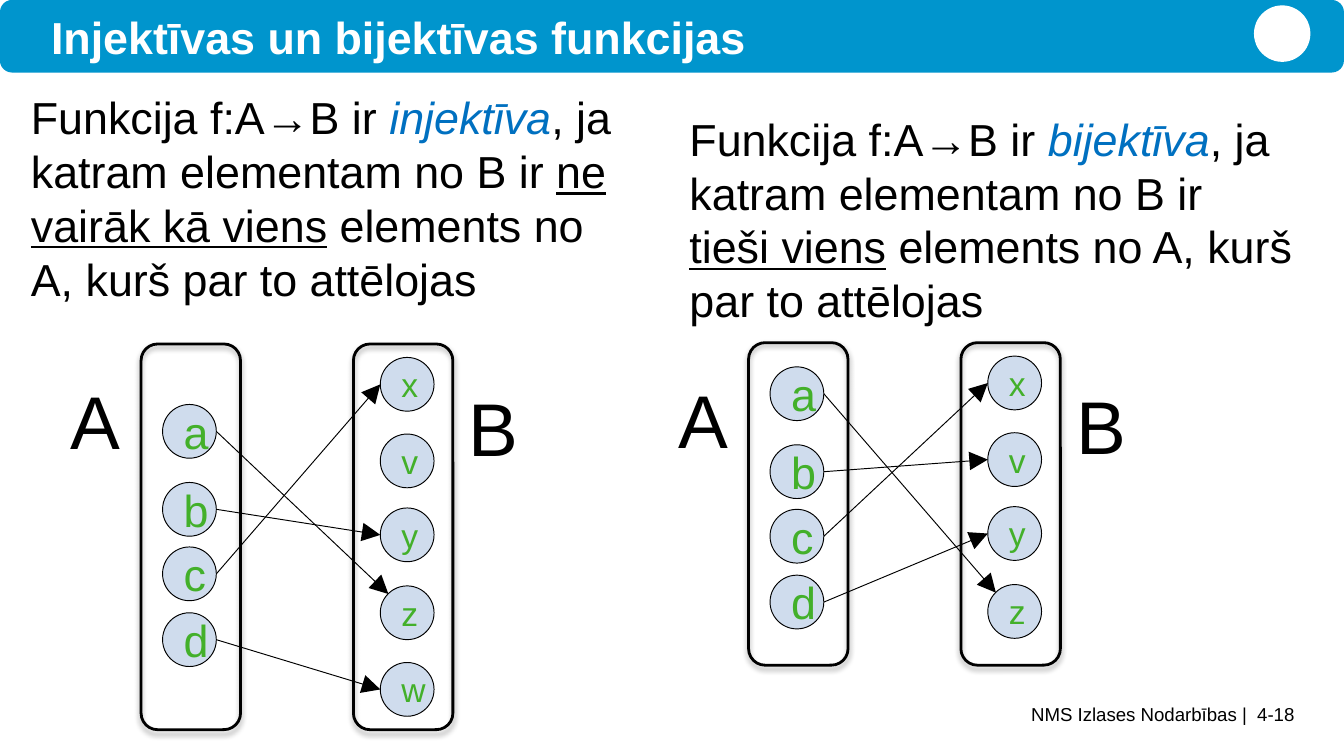
from lxml import etree
from pptx import Presentation
from pptx.dml.color import RGBColor
from pptx.enum.shapes import MSO_CONNECTOR, MSO_SHAPE
from pptx.enum.text import PP_ALIGN, MSO_ANCHOR
from pptx.oxml.ns import qn
from pptx.util import Inches, Pt

LINE = MSO_CONNECTOR.STRAIGHT
ROUND, NODE, OVAL = (MSO_SHAPE.ROUNDED_RECTANGLE,
                     MSO_SHAPE.FLOWCHART_CONNECTOR, MSO_SHAPE.OVAL)
MIDDLE = MSO_ANCHOR.MIDDLE
LEFT, CENTER, RIGHT = PP_ALIGN.LEFT, PP_ALIGN.CENTER, PP_ALIGN.RIGHT
COLORS = {"black": "000000", "white": "FFFFFF", "bar": "0095CD",
          "term": "0070C0", "node": "4F81BD", "label": "43B02A"}
SIZE = 0.4
STARTS = {"a": 0, "b": 0.58, "c": 1.06, "d": 1.55}
ENDS = {"x": 0.1, "v": 0.67, "y": 1.22, "z": 1.8, "w": 2.37}


class Deck:
    """Draws styled elements on the current slide."""

    def __init__(self, slide, font="Arial"):
        self.slide, self.font = slide, font

    def color(self, name):
        return RGBColor.from_string(COLORS[name])

    def run(self, para, text, size, color="black", bold=False,
            italic=False, under=False):
        run = para.add_run()
        run.text = text
        font = run.font
        font.name, font.size = self.font, Pt(size)
        font.bold, font.italic, font.underline = bold, italic, under
        font.color.rgb = self.color(color)

    def text(self, box, runs, size, inset=0, align=LEFT, before=0):
        frame = self.slide.shapes.add_textbox(*map(Inches, box)).text_frame
        frame.word_wrap = True
        frame.margin_left = frame.margin_right = Inches(inset)
        frame.margin_top = frame.margin_bottom = Inches(inset / 2)
        para = frame.paragraphs[0]
        para.alignment, para.space_before = align, Pt(before)
        for text, style in runs:
            self.run(para, text, size, **style)

    def shape(self, kind, box, fill=None, line=0):
        shape = self.slide.shapes.add_shape(kind, *map(Inches, box))
        shape.shadow.inherit = False
        if fill:
            shape.fill.solid()
            shape.fill.fore_color.rgb = self.color(fill)
        else:
            shape.fill.background()
        if line:
            shape.line.color.rgb = self.color("black")
            shape.line.width = Pt(line)
        else:
            shape.line.fill.background()
        return shape

    def node(self, left, top, text, size):
        shape = self.shape(NODE, (left, top, SIZE, SIZE), "node", 0.5)
        tint = shape._element.spPr.find(qn("a:solidFill"))[0]
        etree.SubElement(tint, qn("a:alpha"), val="27000")
        frame = shape.text_frame
        frame.vertical_anchor = MIDDLE
        para = frame.paragraphs[0]
        para.alignment = CENTER
        self.run(para, text, size, "label")

    def panel(self, box):
        shape = self.shape(ROUND, box, line=1.5)
        effect = shape._element.spPr.find(qn("a:effectLst"))
        shade = etree.SubElement(
            effect, qn("a:outerShdw"), blurRad=str(Pt(3.1)),
            dist=str(Pt(1.8)), dir="5400000", rotWithShape="0")
        tint = etree.SubElement(shade, qn("a:srgbClr"), val=COLORS["black"])
        etree.SubElement(tint, qn("a:alpha"), val="35000")

    def arrow(self, start, end):
        link = self.slide.shapes.add_connector(
            LINE, *map(Inches, (*start, *end)))
        link.line.color.rgb = self.color("black")
        link.line.width = Pt(0.5)
        props = link._element.spPr
        etree.SubElement(props.find(qn("a:ln")), qn("a:tailEnd"),
                         type="triangle", w="lg", len="lg")
        etree.SubElement(props, qn("a:effectLst"))

    def graph(self, left, top, first, links, names, height):
        source, target = left + 0.16, left + 1.78
        for name, drop in STARTS.items():
            self.node(source, first + drop, name, 24)
        for name in names:
            self.node(target, top + ENDS[name], name, 18)
        for name, goal in links.items():
            right, down = (0.06, 0.06) if goal == "z" else (0, SIZE / 2)
            self.arrow((source + SIZE, first + STARTS[name] + SIZE / 2),
                       (target + right, top + ENDS[goal] + down))
        for name, x, y in (("A", -0.62, 0.18), ("B", 2.34, 0.23)):
            self.text((left + x, top + y, 0.43, 0.77), [(name, {})], 40, 0.1)
        for x in (left, left + 1.58):
            self.panel((x, top, 0.74, height))

    def define(self, left, top, height, term, count):
        runs = [("Funkcija f:A→B ir ", {}),
                (term, {"color": "term", "italic": True}),
                (", ja katram elementam no B ir ", {}),
                (count, {"under": True}),
                (" elements no A, kurš par to attēlojas", {})]
        self.text((left, top, 4.49, height), runs, 24, before=4.8)


def main():
    show = Presentation()
    show.slide_width = Inches(10)
    show.slide_height = show.slide_width * 9 // 16
    deck = Deck(show.slides.add_slide(show.slide_layouts[6]))
    deck.text((2.41, 5.23, 7.22, 0.33),
              [("NMS Izlases Nodarbības |  4-18", {})], 10, align=RIGHT)
    deck.shape(ROUND, (0, 0, 10, 0.54), "bar")
    deck.shape(OVAL, (9.33, 0.04, 0.42, 0.42), "white")
    deck.define(0.23, 0.67, 1.51, "injektīva", "ne vairāk kā viens")
    deck.define(5.13, 0.83, 4.02, "bijektīva", "tieši viens")
    deck.text((0.38, 0.07, 8.33, 0.42),
              [("Injektīvas un bijektīvas funkcijas",
                {"color": "white", "bold": True})], 24)
    deck.graph(1.05, 2.56, 3.01,
               {"b": "y", "a": "z", "c": "x", "d": "w"}, "xvyzw", 2.87)
    deck.graph(5.57, 2.55, 2.73,
               {"b": "v", "a": "z", "c": "x", "d": "y"}, "xvyz", 2.4)
    show.save("out.pptx")


if __name__ == "__main__":
    main()
